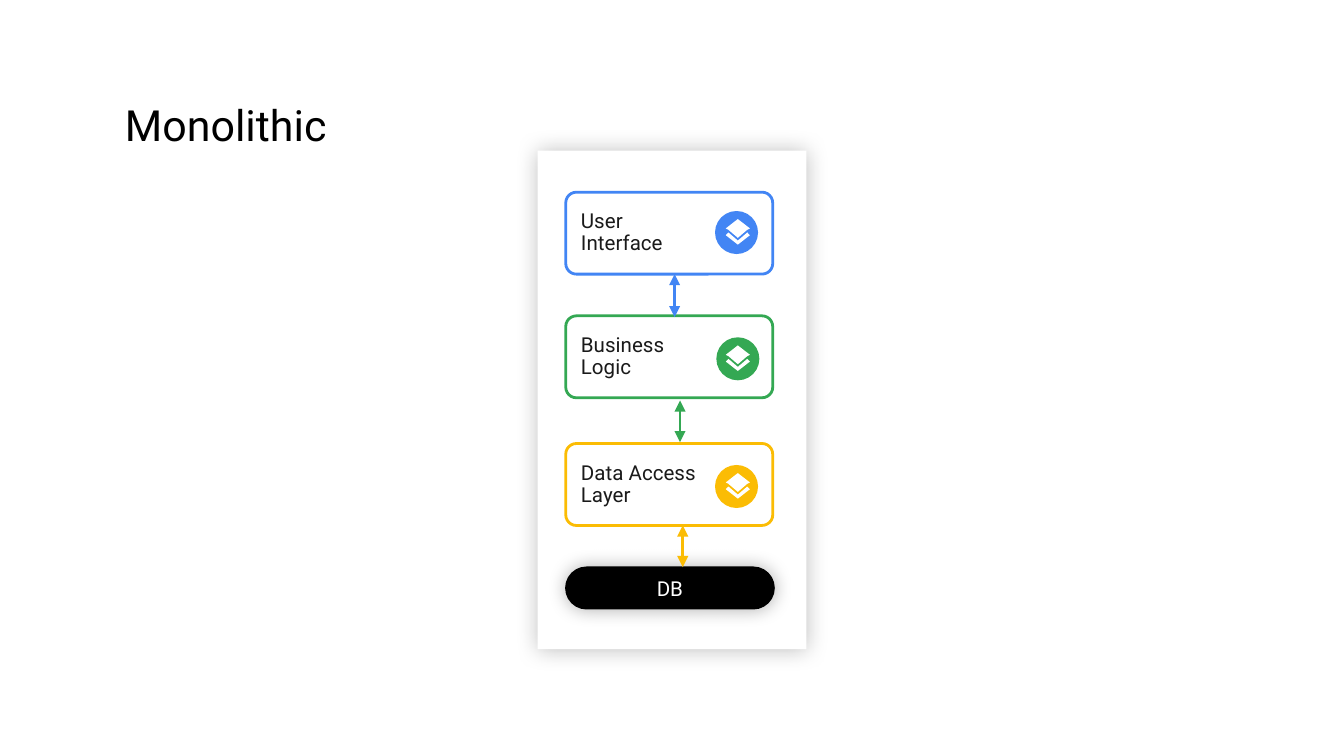
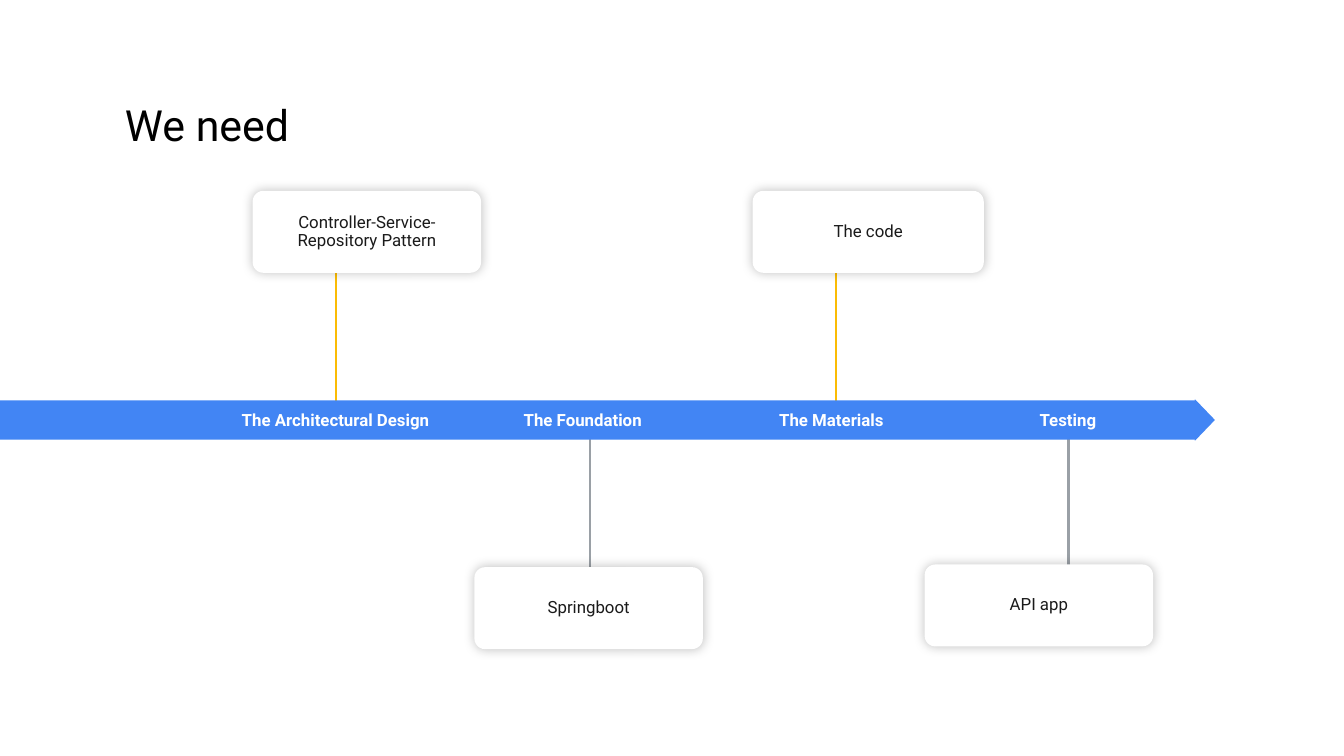
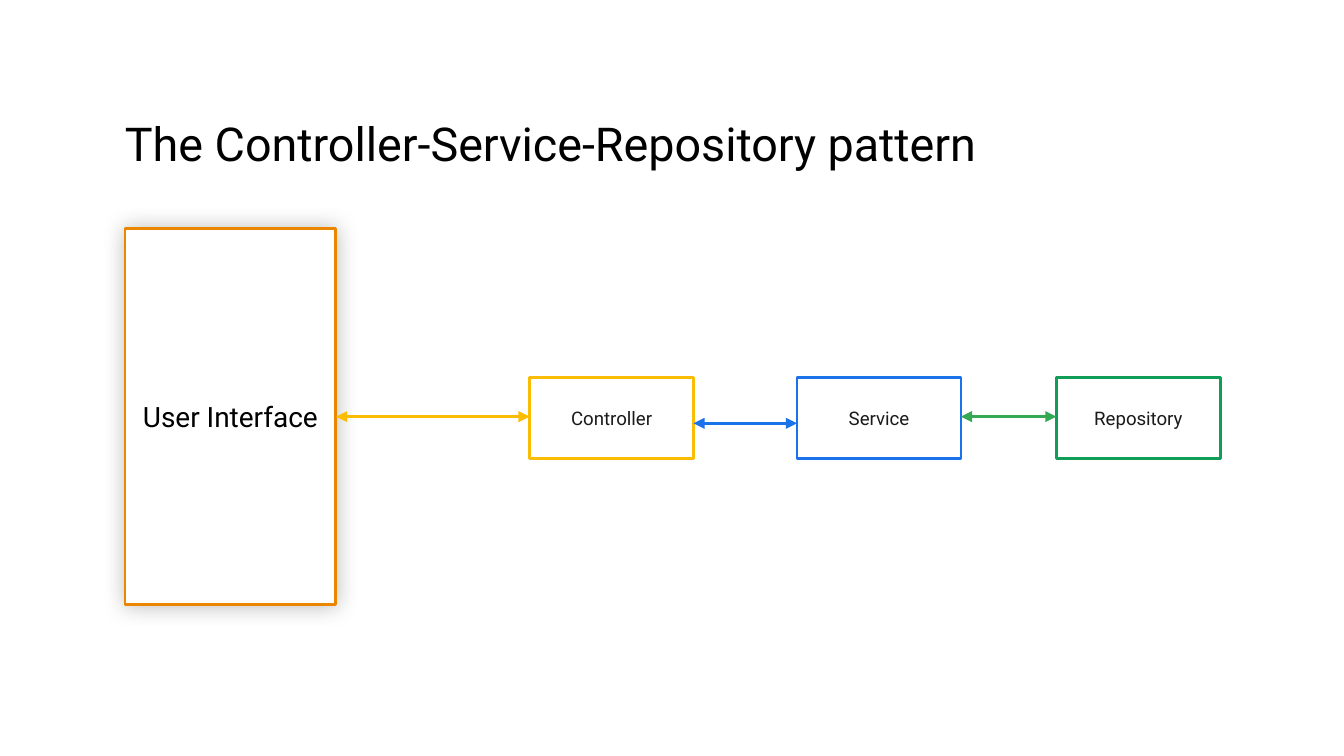
from dataclasses import dataclass

from lxml import etree
from pptx import Presentation
from pptx.dml.color import RGBColor
from pptx.enum.shapes import MSO_CONNECTOR, MSO_SHAPE
from pptx.enum.text import MSO_ANCHOR, PP_ALIGN
from pptx.oxml.ns import qn
from pptx.util import Inches, Pt

RECT, ROUNDED = MSO_SHAPE.RECTANGLE, MSO_SHAPE.ROUNDED_RECTANGLE
OVAL, RIGHT_ARROW = MSO_SHAPE.OVAL, MSO_SHAPE.RIGHT_ARROW
STRAIGHT = MSO_CONNECTOR.STRAIGHT
LEFT, CENTER = PP_ALIGN.LEFT, PP_ALIGN.CENTER
MIDDLE, BOTTOM = MSO_ANCHOR.MIDDLE, MSO_ANCHOR.BOTTOM

# Shared look
SLIDE_WIDTH = Inches(10)
SLIDE_HEIGHT = SLIDE_WIDTH * 9 // 16
FONT = "Roboto"
BLACK, WHITE, INK = "000000", "FFFFFF", "1A1A1A"
BLUE, GREEN, YELLOW, GREY = "4285F4", "34A853", "FBBC04", "9AA0A6"
ORANGE, SERVICE_BLUE, REPOSITORY_GREEN = "EA8600", "1A73E8", "0F9D58"
LINE_WIDTH = 1.5
CORNER = 0.13
CARD_HEIGHT = 0.61
CARD_INSET = 0.09
CARD_SPACING = 0.9

# Layers icon, measured from its top left corner
ICON_PARTS = (
    ((0.09, 0.16), (0.16, 0.1), (0.18, 0.12), (0.09, 0.19), (0, 0.12), (0.02, 0.1)),
    ((0.09, 0.14), (0.02, 0.08), (0, 0.07), (0.09, 0), (0.18, 0.07), (0.16, 0.08)),
)


@dataclass
class Frame:
    left: float
    top: float
    width: float
    height: float

    def lengths(self) -> list:
        return [Inches(n) for n in (self.left, self.top, self.width, self.height)]


@dataclass
class TextStyle:
    size: float
    color: str = INK
    bold: bool = False
    align: int = CENTER
    anchor: int = MIDDLE
    inset: float = 0
    spacing: float | None = None


@dataclass
class Shadow:
    blur: float
    opacity: int = 25


@dataclass
class Layer:
    text: str
    top: float
    badge_left: float
    badge_top: float
    color: str


@dataclass
class Link:
    start: tuple[float, float]
    end: tuple[float, float]
    color: str


@dataclass
class Stage:
    name: str
    label_left: float
    label_width: float
    detail: str
    card: Frame
    stem: Link


@dataclass
class Component:
    name: str
    left: float
    color: str


def rgb(value: str) -> RGBColor:
    return RGBColor.from_string(value)


def write(shape, text: str, style: TextStyle) -> None:
    frame = shape.text_frame
    frame.word_wrap = True
    frame.vertical_anchor = style.anchor
    frame.margin_left = frame.margin_right = Inches(style.inset)
    frame.margin_top = frame.margin_bottom = Inches(style.inset)
    for index, line in enumerate(text.split("\n")):
        paragraph = frame.add_paragraph() if index else frame.paragraphs[0]
        paragraph.alignment = style.align
        if style.spacing:
            paragraph.line_spacing = style.spacing
        run = paragraph.add_run()
        run.text = line
        run.font.name = FONT
        run.font.size = Pt(style.size)
        run.font.bold = style.bold
        run.font.color.rgb = rgb(style.color)


def paint(shape, fill: str, outline: str | None = None, width: float = LINE_WIDTH) -> None:
    shape.shadow.inherit = False
    shape.fill.solid()
    shape.fill.fore_color.rgb = rgb(fill)
    if outline:
        shape.line.color.rgb = rgb(outline)
        shape.line.width = Pt(width)
    else:
        shape.line.fill.background()


def cast_shadow(shape, shadow: Shadow) -> None:
    effects = shape._element.spPr.find(qn("a:effectLst"))
    outer = etree.SubElement(effects, qn("a:outerShdw"), blurRad=str(Pt(shadow.blur)),
                             dist="0", dir="0", algn="ctr", rotWithShape="0")
    color = etree.SubElement(outer, qn("a:srgbClr"), val=BLACK)
    etree.SubElement(color, qn("a:alpha"), val=str(shadow.opacity * 1000))


def add_box(slide, kind: int, frame: Frame, fill: str = WHITE, outline: str | None = None,
            width: float = LINE_WIDTH, adjust: tuple = (), shadow: Shadow | None = None):
    shape = slide.shapes.add_shape(kind, *frame.lengths())
    for index, value in enumerate(adjust):
        shape.adjustments[index] = value
    paint(shape, fill, outline, width)
    if shadow:
        cast_shadow(shape, shadow)
    return shape


def add_label(slide, frame: Frame, text: str, style: TextStyle) -> None:
    write(slide.shapes.add_textbox(*frame.lengths()), text, style)


def add_link(slide, link: Link, arrows: bool = True) -> None:
    ends = [Inches(n) for n in (*link.start, *link.end)]
    connector = slide.shapes.add_connector(STRAIGHT, *ends)
    connector.line.color.rgb = rgb(link.color)
    connector.line.width = Pt(LINE_WIDTH)
    if arrows:
        line = connector.line._get_or_add_ln()
        for end in ("a:headEnd", "a:tailEnd"):
            etree.SubElement(line, qn(end), type="triangle")
    etree.SubElement(connector._element.spPr, qn("a:effectLst"))


def add_layers_icon(slide, left: float, top: float) -> None:
    outlines = [[(Inches(left + x), Inches(top + y)) for x, y in part] for part in ICON_PARTS]
    chevron, diamond = outlines
    builder = slide.shapes.build_freeform(*chevron[0])
    builder.add_line_segments(chevron[1:], close=True)
    builder.move_to(*diamond[0])
    builder.add_line_segments(diamond[1:], close=True)
    paint(builder.convert_to_shape(), WHITE)


def new_slide(prs, title: str, frame: Frame = Frame(0.93, 0.72, 4.16, 0.4), size: float = 23):
    slide = prs.slides.add_slide(prs.slide_layouts[6])
    add_label(slide, frame, title, TextStyle(size, BLACK, align=LEFT, anchor=BOTTOM))
    return slide


def build_monolith(prs) -> None:
    slide = new_slide(prs, "Monolithic")
    add_box(slide, RECT, Frame(4, 1.12, 2, 3.71), shadow=Shadow(12))

    # Layers with their badges
    layers = (
        Layer("User\nInterface", 1.43, 5.32, 1.57, BLUE),
        Layer("Business\nLogic", 2.35, 5.33, 2.51, GREEN),
        Layer("Data Access\nLayer", 3.3, 5.32, 3.46, YELLOW),
    )
    style = TextStyle(11, align=LEFT, inset=CARD_INSET, spacing=CARD_SPACING)
    for layer in layers:
        card = add_box(slide, ROUNDED, Frame(4.21, layer.top, 1.54, CARD_HEIGHT),
                       outline=layer.color, adjust=(CORNER,))
        write(card, layer.text, style)
        add_box(slide, OVAL, Frame(layer.badge_left, layer.badge_top, 0.32, 0.32), layer.color)
        add_layers_icon(slide, 5.4, layer.badge_top + 0.06)

    # Database
    database = add_box(slide, ROUNDED, Frame(4.21, 4.22, 1.55, 0.31), BLACK, BLACK, 0.75,
                       adjust=(0.5,), shadow=Shadow(10, 30))
    write(database, "DB", TextStyle(11, WHITE))

    for link in (
        Link((5.02, 2.36), (5.02, 2.04), BLUE),
        Link((5.06, 3.29), (5.06, 2.98), GREEN),
        Link((5.08, 4.22), (5.08, 3.91), YELLOW),
    ):
        add_link(slide, link)


def build_timeline(prs) -> None:
    slide = new_slide(prs, "We need")
    stages = (
        Stage("The Architectural Design", 1.67, 1.65, "Controller-Service-\nRepository Pattern",
              Frame(1.88, 1.42, 1.7, CARD_HEIGHT), Link((2.5, 3.01), (2.5, 1.78), YELLOW)),
        Stage("The Foundation", 3.51, 1.65, "Springboot",
              Frame(3.53, 4.22, 1.7, CARD_HEIGHT), Link((4.39, 4.56), (4.39, 3.22), GREY)),
        Stage("The Materials", 5.73, 0.91, "The code",
              Frame(5.6, 1.42, 1.72, CARD_HEIGHT), Link((6.22, 3.01), (6.22, 1.77), YELLOW)),
        Stage("Testing", 7.49, 0.91, "API app",
              Frame(6.88, 4.2, 1.7, CARD_HEIGHT), Link((7.95, 4.56), (7.95, 3.22), GREY)),
    )

    # Stems lie under the band and the cards
    for stage in stages:
        add_link(slide, stage.stem, arrows=False)
    add_box(slide, RIGHT_ARROW, Frame(-0.02, 2.97, 9.06, 0.31), BLUE, adjust=(0.94, 0.48))

    name_style = TextStyle(9, WHITE, bold=True)
    detail_style = TextStyle(9, inset=CARD_INSET, spacing=CARD_SPACING)
    for stage in stages:
        add_label(slide, Frame(stage.label_left, 2.95, stage.label_width, 0.35),
                  stage.name, name_style)
        card = add_box(slide, ROUNDED, stage.card, adjust=(CORNER,), shadow=Shadow(6))
        write(card, stage.detail, detail_style)


def build_pattern(prs) -> None:
    slide = new_slide(prs, "The Controller-Service-Repository pattern",
                      Frame(0.93, 0.73, 7.81, 0.54), 25)
    interface = add_box(slide, RECT, Frame(0.93, 1.7, 1.57, 2.8), outline=ORANGE,
                        shadow=Shadow(12))
    write(interface, "User Interface", TextStyle(15, BLACK))

    for component in (
        Component("Controller", 3.94, YELLOW),
        Component("Service", 5.93, SERVICE_BLUE),
        Component("Repository", 7.86, REPOSITORY_GREEN),
    ):
        box = add_box(slide, RECT, Frame(component.left, 2.81, 1.22, 0.6),
                      outline=component.color)
        write(box, component.name, TextStyle(10))

    for link in (
        Link((2.5, 3.1), (3.94, 3.1), YELLOW),
        Link((5.16, 3.15), (5.93, 3.15), SERVICE_BLUE),
        Link((7.15, 3.1), (7.86, 3.1), GREEN),
    ):
        add_link(slide, link)


def main() -> None:
    prs = Presentation()
    prs.slide_width = SLIDE_WIDTH
    prs.slide_height = SLIDE_HEIGHT
    build_monolith(prs)
    build_timeline(prs)
    build_pattern(prs)
    prs.save("out.pptx")


if __name__ == "__main__":
    main()
